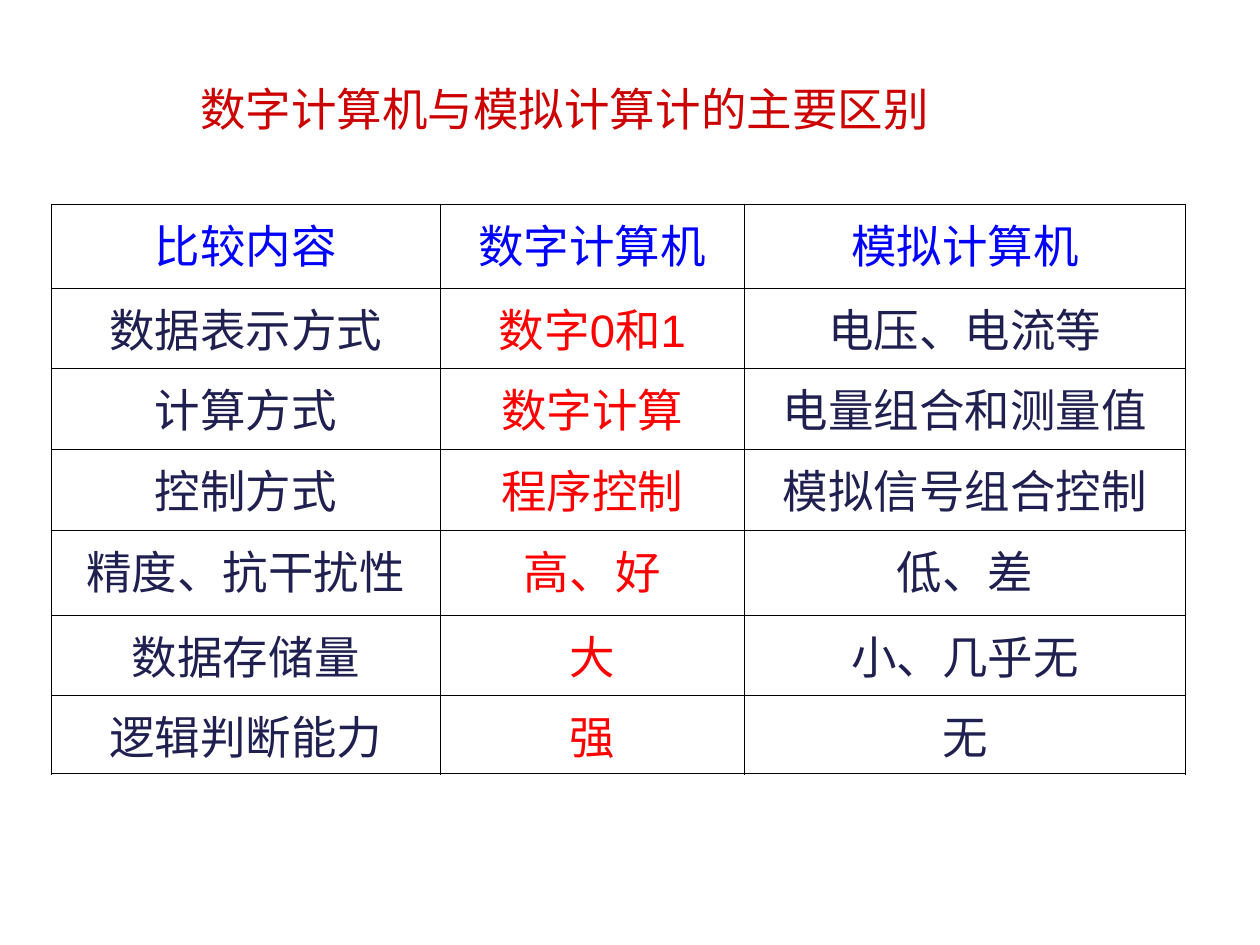
from lxml import etree
from pptx import Presentation
from pptx.dml.color import RGBColor
from pptx.enum.text import MSO_ANCHOR, MSO_AUTO_SIZE, PP_ALIGN
from pptx.oxml.ns import qn
from pptx.util import Pt

LEFT, CENTER = PP_ALIGN.LEFT, PP_ALIGN.CENTER
TOP = MSO_ANCHOR.TOP
NO_AUTOFIT = MSO_AUTO_SIZE.NONE

COLORS = {
    "title": "CC0000",
    "header": "0000FF",
    "body": "202050",
    "digital": "FF0000",
    "border": "000000",
}
THICK, THIN = 1.08, 0.45

TITLE = "数字计算机与模拟计算计的主要区别"
ROWS = [
    ("比较内容", "数字计算机", "模拟计算机"),
    ("数据表示方式", "数字0和1", "电压、电流等"),
    ("计算方式", "数字计算", "电量组合和测量值"),
    ("控制方式", "程序控制", "模拟信号组合控制"),
    ("精度、抗干扰性", "高、好", "低、差"),
    ("数据存储量", "大", "小、几乎无"),
    ("逻辑判断能力", "强", "无"),
]
COL_WIDTHS = [222, 174, 252]
ROW_HEIGHTS = [48, 45.8, 46.2, 46.2, 48.6, 45.7, 43.2]


def write_text(tf, text, color, align=CENTER, size=26, font="Arial"):
    p = tf.paragraphs[0]
    p.alignment = align
    r = p.add_run()
    r.text = text
    r.font.name = font
    r.font.size = Pt(size)
    r.font.bold = False
    r.font.color.rgb = RGBColor.from_string(COLORS[color])


def set_borders(cell, **widths):
    """Draw the cell's sides; widths maps L, R, T, B to points."""
    tc_pr = cell._tc.get_or_add_tcPr()
    for i, side in enumerate("LRTB"):
        ln = etree.Element(qn(f"a:ln{side}"), w=str(Pt(widths[side])))
        fill = etree.SubElement(ln, qn("a:solidFill"))
        etree.SubElement(fill, qn("a:srgbClr"), val=COLORS["border"])
        tc_pr.insert(i, ln)


def place_title(slide, left, top, width, height):
    sp = slide.shapes.title
    sp.left, sp.top, sp.width, sp.height = Pt(left), Pt(top), Pt(width), Pt(height)
    tf = sp.text_frame
    tf.auto_size = NO_AUTOFIT
    tf.word_wrap = True
    tf.vertical_anchor = TOP
    tf.margin_top = 0
    write_text(tf, TITLE, "title", align=LEFT)


def place_comparison_table(slide, left, top):
    table = slide.shapes.add_table(
        len(ROWS), len(COL_WIDTHS), Pt(left), Pt(top),
        Pt(sum(COL_WIDTHS)), Pt(sum(ROW_HEIGHTS))).table
    table.first_row = table.horz_banding = False
    for column, width in zip(table.columns, COL_WIDTHS):
        column.width = Pt(width)
    for row, height in zip(table.rows, ROW_HEIGHTS):
        row.height = Pt(height)

    last_row, last_col = len(ROWS) - 1, len(COL_WIDTHS) - 1
    for i, texts in enumerate(ROWS):
        for j, text in enumerate(texts):
            cell = table.cell(i, j)
            cell.fill.background()
            cell.vertical_anchor = TOP
            color = "header" if i == 0 else "digital" if j == 1 else "body"
            write_text(cell.text_frame, text, color)
            set_borders(
                cell,
                L=THICK if j == 0 else THIN,
                R=THICK if j == last_col else THIN,
                T=THICK if i <= 1 else THIN,
                B=THICK if i in (0, last_row) else THIN)


def main():
    prs = Presentation()
    prs.slide_width, prs.slide_height = Pt(720), Pt(540)
    slide = prs.slides.add_slide(prs.slide_layouts[5])
    place_title(slide, 107.3, 46.5, 474.5, 46.8)
    place_comparison_table(slide, 29.5, 116.8)
    prs.save("out.pptx")


if __name__ == "__main__":
    main()
